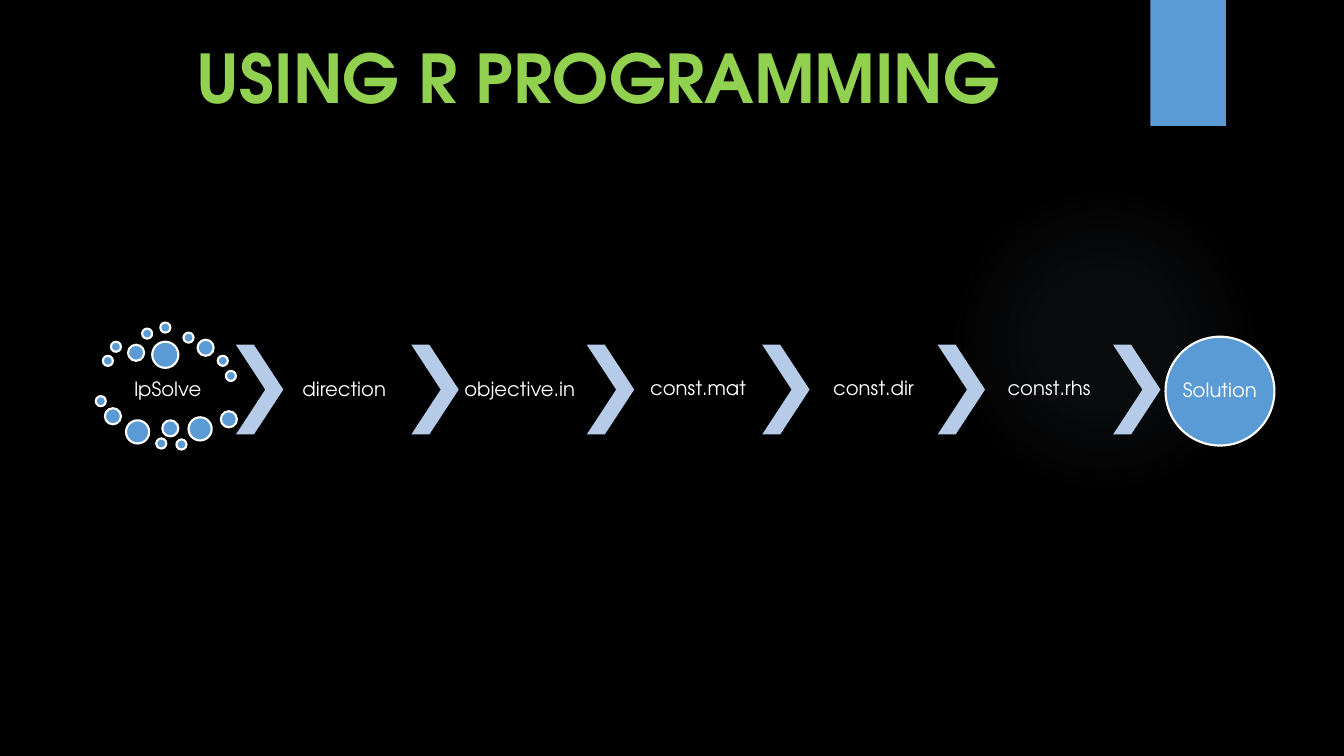
import dataclasses

import pptx
import pptx.dml.color
import pptx.enum.shapes
import pptx.enum.text
import pptx.oxml
import pptx.oxml.ns
import pptx.util

PX = pptx.util.Inches(1) // 100
SHAPE = pptx.enum.shapes.MSO_SHAPE
ALIGN = pptx.enum.text.PP_ALIGN
ANCHOR = pptx.enum.text.MSO_ANCHOR


@dataclasses.dataclass(frozen=True)
class Theme:
    background: str = "000000"
    accent: str = "5B9BD5"
    chevron: str = "B5CBE7"
    title: str = "92D050"
    text: str = "FFFFFF"
    glow: str = "8497B0"
    font: str = "TeX Gyre Adventor"
    title_size: int = 48
    label_size: int = 14
    outline: float = 1.5


THEME = Theme()

FIRST_CHEVRON, CHEVRON_STEP, CHEVRON_TOP = 234, 174, 342
CHEVRON_WIDTH, STEP_HEIGHT, LABEL_WIDTH = 47, 89, 127

# Label, left, top
STEPS = [
    ("direction", 278, 343),
    ("objective.in", 452, 343),
    ("const.mat", 629, 342),
    ("const.dir", 803, 342),
    ("const.rhs", 977, 342),
]

# Diameter of the dots: their left and top corners
DOTS = {
    10: [(102, 353), (110, 339), (141, 326), (159, 320), (182, 330), (216, 353),
         (224, 368), (95, 393), (155, 435), (175, 436)],
    16: [(127, 342), (196, 337), (104, 405), (161, 417), (219, 408)],
    23: [(125, 417), (187, 414)],
    26: [(151, 339)],
}


def rgb(color):
    return pptx.dml.color.RGBColor.from_string(color)


def box(left, top, width, height):
    return [PX * length for length in (left, top, width, height)]


def add_filled(slide, kind, bounds, color):
    shape = slide.shapes.add_shape(kind, *box(*bounds))
    shape.shadow.inherit = False
    shape.fill.solid()
    shape.fill.fore_color.rgb = rgb(color)
    shape.line.fill.background()
    return shape


def add_circle(slide, left, top, diameter):
    circle = add_filled(slide, SHAPE.OVAL, (left, top, diameter, diameter), THEME.accent)
    circle.line.color.rgb = rgb(THEME.text)
    circle.line.width = pptx.util.Pt(THEME.outline)


def add_chevron(slide, left):
    bounds = (left, CHEVRON_TOP, CHEVRON_WIDTH, STEP_HEIGHT)
    chevron = add_filled(slide, SHAPE.CHEVRON, bounds, THEME.chevron)
    chevron.adjustments[0] = 0.62


def add_glow(slide):
    """Add a faint disc that fades out from its centre."""
    glow = add_filled(slide, SHAPE.OVAL, (941, 183, 308, 308), THEME.glow)
    stops = "".join(
        f'<a:gs pos="{position * 1000}"><a:srgbClr val="{THEME.glow}">'
        f'<a:alpha val="{opacity * 1000}"/></a:srgbClr></a:gs>'
        for position, opacity in ((0, 7), (36, 6), (69, 0), (100, 0))
    )
    gradient = pptx.oxml.parse_xml(
        f'<a:gradFill {pptx.oxml.ns.nsdecls("a")} rotWithShape="1"><a:gsLst>{stops}</a:gsLst>'
        '<a:path path="circle"><a:fillToRect l="50000" t="50000" r="50000" b="50000"/>'
        "</a:path></a:gradFill>"
    )
    properties = glow.element.spPr
    properties.replace(properties.find(pptx.oxml.ns.qn("a:solidFill")), gradient)


def add_text(slide, text, bounds, size, color, bold=False):
    frame = slide.shapes.add_textbox(*box(*bounds)).text_frame
    frame.word_wrap = True
    frame.text = text
    font = frame.paragraphs[0].runs[0].font
    font.name = THEME.font
    font.size = pptx.util.Pt(size)
    font.color.rgb = rgb(color)
    font.bold = bold
    return frame


def add_label(slide, text, bounds, inset=2):
    frame = add_text(slide, text, bounds, THEME.label_size, THEME.text)
    frame.vertical_anchor = ANCHOR.MIDDLE
    frame.margin_left = frame.margin_right = inset * PX
    frame.margin_top = frame.margin_bottom = inset * PX
    frame.paragraphs[0].alignment = ALIGN.CENTER
    frame.paragraphs[0].line_spacing = 0.9


def main():
    deck = pptx.Presentation()
    deck.slide_width, deck.slide_height = 1333 * PX, 750 * PX
    slide = deck.slides.add_slide(deck.slide_layouts[6])
    slide.background.fill.solid()
    slide.background.fill.fore_color.rgb = rgb(THEME.background)

    add_glow(slide)
    add_filled(slide, SHAPE.RECTANGLE, (1141, 0, 75, 125), THEME.accent)
    add_text(slide, "USING R PROGRAMMING", (185, 31, 904, 91),
             THEME.title_size, THEME.title, bold=True)

    add_label(slide, "lpSolve", (103, 366, LABEL_WIDTH, 42))
    for diameter, corners in DOTS.items():
        for left, top in corners:
            add_circle(slide, left, top, diameter)

    for index in range(len(STEPS) + 1):
        add_chevron(slide, FIRST_CHEVRON + index * CHEVRON_STEP)
    for name, left, top in STEPS:
        add_label(slide, name, (left, top, LABEL_WIDTH, STEP_HEIGHT))

    add_circle(slide, 1156, 334, 108)
    add_label(slide, "Solution", (1172, 350, 76, 76), inset=0)

    deck.save("out.pptx")


if __name__ == "__main__":
    main()
